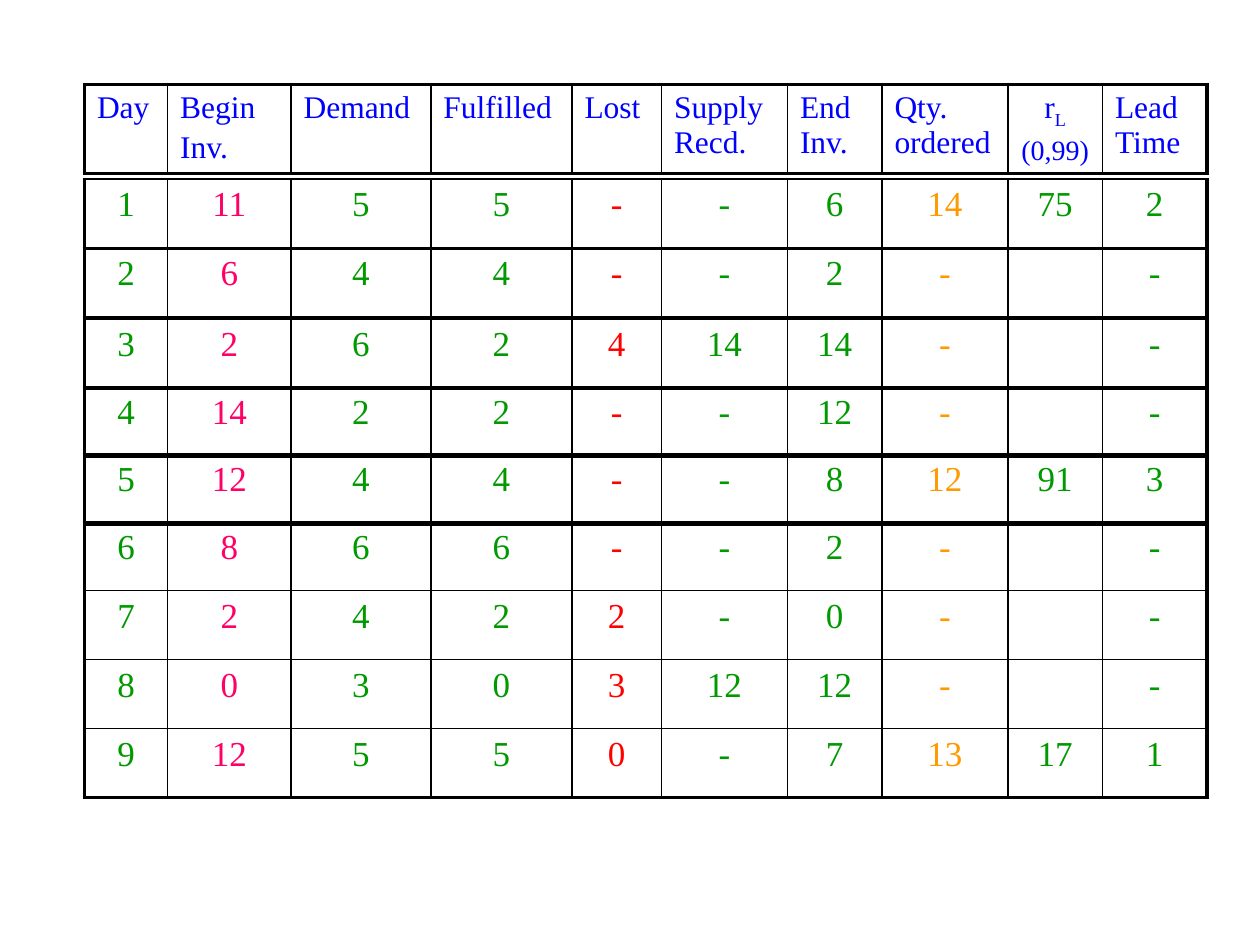
from dataclasses import dataclass

from lxml.etree import SubElement
from pptx import Presentation
from pptx.dml.color import RGBColor as Rgb
from pptx.enum.text import PP_ALIGN as Align
from pptx.oxml.ns import qn
from pptx.util import Inches, Pt


@dataclass(frozen=True)
class Theme:
    font: str = "Times New Roman"
    head: str = "0000FF"
    base: str = "009900"
    begin: str = "FF0066"
    lost: str = "FF0000"
    order: str = "FF9900"
    line: str = "000000"
    head_size: int = 18
    note_size: int = 16
    body_size: int = 20
    gap: int = 3
    thin: float = 1
    thick: float = 2.25


THEME = Theme()
LEFT, WIDTH, ROW = 0.67, 8.92, 0.55
WIDTHS = [0.66, 0.98, 1.11, 1.12, 0.71, 1, 0.75, 1, 0.75, 0.83]
# Columns that differ from the base colour
TINTS = {1: THEME.begin, 4: THEME.lost, 7: THEME.order}

HEADS = ["Day", "Begin\nInv.", "Demand", "Fulfilled", "Lost", "Supply Recd.",
         "End Inv.", "Qty. ordered", "", "Lead Time"]
DAYS = [
    ["1", "11", "5", "5", "-", "-", "6", "14", "75", "2"],
    ["2", "6", "4", "4", "-", "-", "2", "-", "", "-"],
    ["3", "2", "6", "2", "4", "14", "14", "-", "", "-"],
    ["4", "14", "2", "2", "-", "-", "12", "-", "", "-"],
    ["5", "12", "4", "4", "-", "-", "8", "12", "91", "3"],
    ["6", "8", "6", "6", "-", "-", "2", "-", "", "-"],
    ["7", "2", "4", "2", "2", "-", "0", "-", "", "-"],
    ["8", "0", "3", "0", "3", "12", "12", "-", "", "-"],
    ["9", "12", "5", "5", "0", "-", "7", "13", "17", "1"],
]
# Each block of days: top, height, first day, last day
BLOCKS = [(1.42, 0.55, 1, 1), (1.97, 0.55, 2, 2), (2.53, 0.55, 3, 3),
          (3.07, 0.55, 4, 4), (3.6, 0.56, 5, 5), (4.14, 2.19, 6, 9)]


def style_run(run, size, color):
    run.font.name = THEME.font
    run.font.size = Pt(size)
    run.font.color.rgb = Rgb.from_string(color)


def style_text(cell, size, color, align):
    for i, para in enumerate(cell.text_frame.paragraphs):
        para.alignment = align
        if i:
            para.space_before = Pt(THEME.gap)
        for run in para.runs:
            style_run(run, size, color)


def set_edges(cell, **widths):
    props = cell._tc.get_or_add_tcPr()
    for side in "LRTB":
        line = SubElement(props, qn(f"a:ln{side}"), w=str(Pt(widths[side])))
        fill = SubElement(line, qn("a:solidFill"))
        SubElement(fill, qn("a:srgbClr"), val=THEME.line)
    cell.fill.background()


def add_grid(slide, top, height, rows, row_height, top_line):
    frame = slide.shapes.add_table(len(rows), len(WIDTHS), Inches(LEFT),
                                   Inches(top), Inches(WIDTH), Inches(height))
    table = frame.table
    table.first_row = table.horz_banding = False
    for col, width in zip(table.columns, WIDTHS):
        col.width = Inches(width)
    last_row, last_col = len(rows) - 1, len(WIDTHS) - 1
    for r, values in enumerate(rows):
        table.rows[r].height = Inches(row_height)
        for c, value in enumerate(values):
            cell = table.cell(r, c)
            cell.text_frame.text = value
            set_edges(cell,
                      L=THEME.thin if c else THEME.thick,
                      R=THEME.thick if c == last_col else THEME.thin,
                      T=THEME.thin if r else top_line,
                      B=THEME.thick if r == last_row else THEME.thin)
    return table


def add_range(cell):
    """Fill the random number heading, with its subscript and range."""
    frame = cell.text_frame
    first, second = frame.paragraphs[0], frame.add_paragraph()
    first.add_run().text = "r"
    sub = first.add_run()
    sub.text = "L"
    second.text = "(0,99)"
    style_text(cell, THEME.head_size, THEME.head, Align.CENTER)
    sub._r.get_or_add_rPr().set("baseline", "-25000")
    second.runs[0].font.size = Pt(THEME.note_size)


def add_head(slide):
    table = add_grid(slide, 0.67, 0.76, [HEADS], ROW, THEME.thick)
    for cell in table.iter_cells():
        style_text(cell, THEME.head_size, THEME.head, Align.LEFT)
    add_range(table.cell(0, HEADS.index("")))


def add_days(slide, top, height, first, last):
    rows = DAYS[first - 1:last]
    table = add_grid(slide, top, height, rows, height / len(rows), THEME.thin)
    for i, cell in enumerate(table.iter_cells()):
        color = TINTS.get(i % len(WIDTHS), THEME.base)
        style_text(cell, THEME.body_size, color, Align.CENTER)


def main():
    deck = Presentation()
    deck.slide_width, deck.slide_height = Inches(10), Inches(7.5)
    slide = deck.slides.add_slide(deck.slide_layouts[6])
    # Column headings
    add_head(slide)
    # Daily inventory records
    for block in BLOCKS:
        add_days(slide, *block)
    deck.save("out.pptx")


if __name__ == "__main__":
    main()
